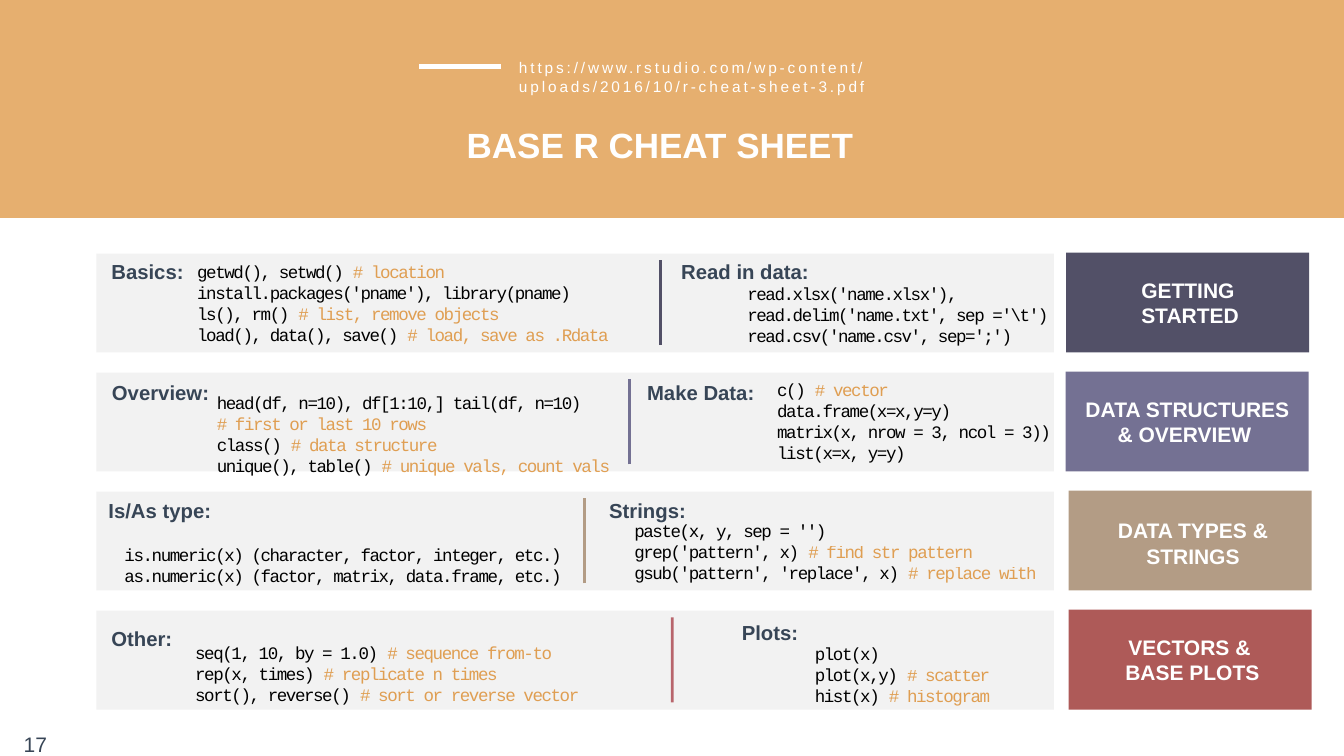
from lxml import etree
from pptx import Presentation
from pptx import util as u
from pptx.dml.color import RGBColor
from pptx.enum import shapes, text
from pptx.oxml.ns import qn


def paint(fill, color):
    rgb, _, opacity = color.partition("@")
    fill.solid()
    fill.fore_color.rgb = RGBColor.from_string(rgb)
    if opacity:
        tint = fill._xPr.find(qn("a:solidFill"))[0]
        etree.SubElement(tint, qn("a:alpha")).set("val", str(int(opacity) * 1000))


def write(place, lines, style, color, align=None, spacing=0, inset=0.15, middle=True):
    box = page.shapes.add_textbox(*map(u.Cm, place))
    frame = box.text_frame
    settings = {"word_wrap": True}
    settings["vertical_anchor"] = text.MSO_ANCHOR.MIDDLE if middle else text.MSO_ANCHOR.TOP
    for side in ("left", "top", "right", "bottom"):
        settings[f"margin_{side}"] = u.Cm(inset)
    for name, value in settings.items():
        setattr(frame, name, value)
    for number, line in enumerate(lines):
        para = frame.paragraphs[0] if number == 0 else frame.add_paragraph()
        para.alignment = align
        code, mark, note = line.partition("#")
        for words, shade in ((code, color), (mark + note, "DA8522@76")):
            if words:
                span = para.add_run()
                span.text = words
                for name, value in style.items():
                    setattr(span.font, name, value)
                paint(span.font.fill, shade)
                if spacing:
                    span._r.get_or_add_rPr().set("spc", str(spacing))


deck = Presentation()
deck.slide_width, deck.slide_height = u.Cm(67.69), u.Cm(38.1)
page = deck.slides.add_slide(deck.slide_layouts[6])

heading = {"name": "Arial", "size": u.Pt(50), "bold": True}
plain = {"name": "Arial", "size": u.Pt(22)}
label = {"name": "Arial", "size": u.Pt(29), "bold": True}
tag = {"name": "Arial", "size": u.Pt(30), "bold": True}
number = {"name": "Arial", "size": u.Pt(30)}
mono = {"name": "Courier New", "size": u.Pt(25)}
center, left = text.PP_ALIGN.CENTER, text.PP_ALIGN.LEFT

tags = [
    (53.7, "525067", (57.33, 13.84, 6.5, 2.82), left, ["GETTING", "STARTED"]),
    (53.67, "747193", (54.28, 19.84, 11.05, 2.82), center, ["DATA STRUCTURES & OVERVIEW "]),
    (53.82, "B39C85", (54.56, 25.96, 11.05, 2.82), center, ["DATA TYPES & STRINGS"]),
    (53.82, "880C0A@68", (54.53, 31.85, 11.05, 2.82), center, ["VECTORS & ", "BASE PLOTS"]),
]
dividers = [(33.25, "525067"), (31.7, "747193"), (29.44, "B39C85"), (33.86, "920813@60")]
pitch = 6

blocks = [((-0.08, -0.15, 67.87, 11.13), "DA8522@65")]
for row, (x, color, *_) in enumerate(tags):
    blocks.append(((4.85, 12.78 + row * pitch, 48.23, 4.98), "F2F2F2"))
    blocks.append(((x, 12.73 + row * pitch, 12.24, 5.03), color))
for place, color in blocks:
    block = page.shapes.add_shape(shapes.MSO_SHAPE.RECTANGLE, *map(u.Cm, place))
    block.shadow.inherit = False
    paint(block.fill, color)
    block.line.fill.background()

rules = [(21.11, 3.35, 25.25, 3.35, "FFFFFF", 7)]
for row, (x, color) in enumerate(dividers):
    rules.append((x, 17.4 + row * pitch, x, 13.11 + row * pitch, color, 4))
for *ends, color, width in rules:
    rule = page.shapes.add_connector(shapes.MSO_CONNECTOR.STRAIGHT, *map(u.Cm, ends))
    paint(rule.line.fill, color)
    rule.line.width = u.Pt(width)
    etree.SubElement(rule._element.spPr, qn("a:effectLst"))

write((21.97, 6.1, 23.04, 3.43), ["BASE R CHEAT SHEET "], heading, "FFFFFF", center, inset=0.13, middle=False)
write((26.01, 2.82, 20.6, 3.07), ["https://www.rstudio.com/wp-content/uploads/2016/10/r-cheat-sheet-3.pdf"],
      plain, "FFFFFF", spacing=410, inset=0.13, middle=False)
write((1.04, 36.02, 1.85, 2.95), ["17"], number, "374556")

for _, _, place, align, lines in tags:
    write(place, lines, tag, "FFFFFF", align)

topics = [
    ("Basics:", (5.46, 12.9, 7.32), (9.78, 13, 21.51, 4.52), [
        "getwd(), setwd() # location",
        "install.packages('pname'), library(pname)",
        "ls(), rm() # list, remove objects",
        "load(), data(), save() # load, save as .Rdata"]),
    ("Read in data:", (34.16, 12.9, 7.32), (37.49, 14.15, 17.42, 3.45), [
        "read.xlsx('name.xlsx'), read.delim('name.txt', sep ='\\t') read.csv('name.csv', sep=';')"]),
    ("Overview:", (5.49, 19.02, 8.33), (10.77, 19.1, 20.19, 5.56), [
        "head(df, n=10), df[1:10,] tail(df, n=10)",
        "# first or last 10 rows",
        "class() # data structure",
        "unique(), table() # unique vals, count vals"]),
    ("Make Data:", (32.44, 19.02, 8.33), (38.99, 18.97, 14.2, 4.52), [
        "c() # vector",
        "data.frame(x=x,y=y)",
        "matrix(x, nrow = 3, ncol = 3))",
        "list(x=x, y=y)"]),
    ("Is/As type:", (5.31, 24.97, 8.66), (6.12, 26.77, 24.28, 3.45), [
        "is.numeric(x) (character, factor, integer, etc.)",
        "as.numeric(x) (factor, matrix, data.frame, etc.)"]),
    ("Strings:", (30.53, 24.97, 8.66), (31.8, 26.09, 23.67, 3.45), [
        "paste(x, y, sep = '')",
        "grep('pattern', x) # find str pattern",
        "gsub('pattern', 'replace', x) # replace with"]),
    ("Other:", (5.46, 31.39, 6.22), (9.68, 31.67, 20.9, 4.52), [
        "seq(1, 10, by = 1.0) # sequence from-to",
        "rep(x, times) # replicate n times",
        "sort(), reverse() # sort or reverse vector"]),
    ("Plots:", (37.21, 31.12, 4.37), (40.89, 31.7, 11.81, 4.62), [
        "plot(x)",
        "plot(x,y) # scatter",
        "hist(x) # histogram"]),
]
for title, spot, place, lines in topics:
    write((*spot, 1.52), [title], label, "374556")
    write(place, lines, mono, "000000", spacing=-200)

deck.save("out.pptx")
